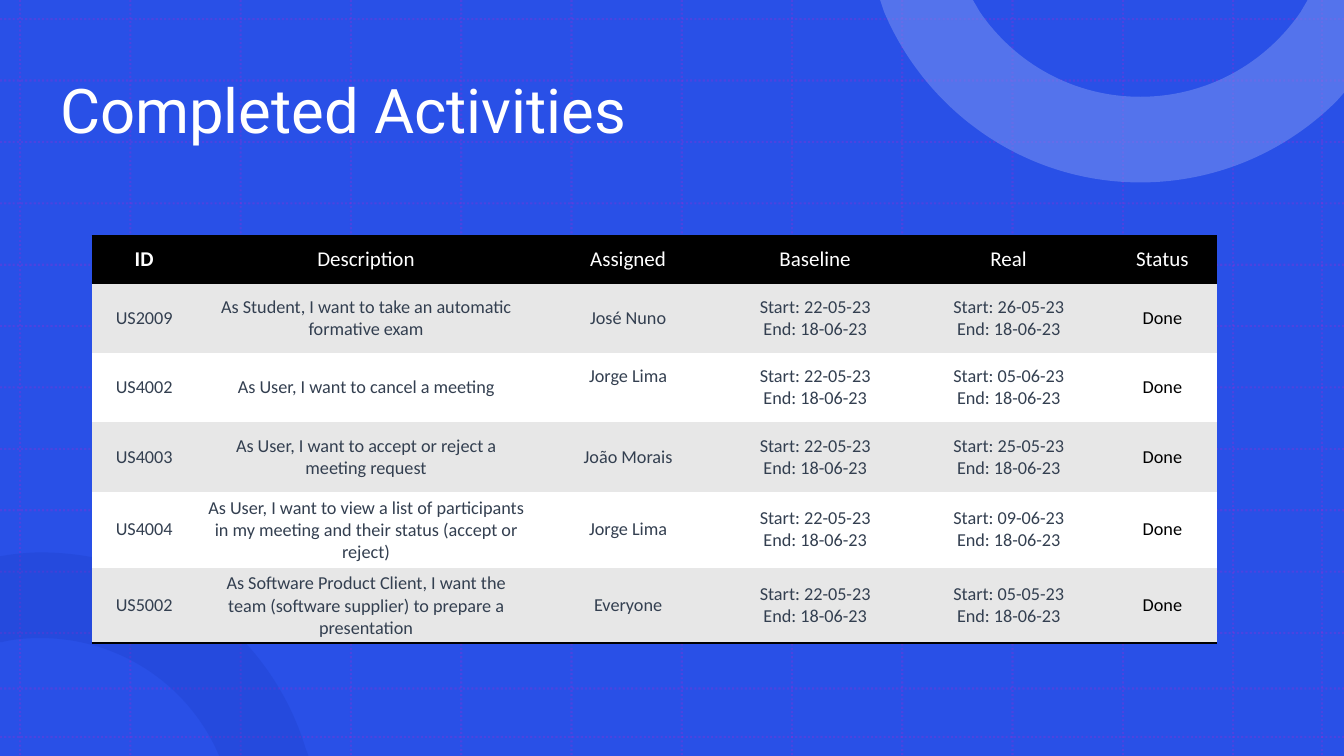
from pptx import Presentation
from pptx.dml.color import RGBColor
from pptx.enum.dml import MSO_LINE
from pptx.enum.shapes import MSO_CONNECTOR, MSO_SHAPE
from pptx.enum.text import MSO_ANCHOR, PP_ALIGN
from pptx.oxml import parse_xml
from pptx.oxml.ns import nsdecls, qn
from pptx.util import Inches, Pt

WIDTH, HEIGHT = 13.33, 7.5
BLACK, WHITE, GREY, SLATE = "000000", "FFFFFF", "E7E7E7", "333F50"
PLAIN_STYLE = "{2D5ABB26-0587-4C30-8999-92F81FD0307C}"

# Ring outlines: a start point, then lines (one point) and curves (three points)
LOWER_RING = [
    [(0.4, 5.48)], [(1.64, 5.48), (2.69, 6.3), (3.03, 7.42)], [(3.06, 7.5)],
    [(2.17, 7.5)], [(2.17, 7.49)], [(1.88, 6.81), (1.2, 6.33), (0.4, 6.33)],
    [(0.27, 6.33), (0.14, 6.34), (0.02, 6.37)], [(-0.01, 6.37)], [(-0.01, 5.52)],
    [(0.12, 5.5)], [(0.21, 5.49), (0.31, 5.48), (0.4, 5.48)],
]
UPPER_RING = [
    [(8.73, 0)], [(9.65, 0)], [(9.72, 0.12)],
    [(10.07, 0.63), (10.65, 0.96), (11.31, 0.96)],
    [(11.97, 0.96), (12.55, 0.63), (12.9, 0.12)], [(12.97, 0)], [(13.33, 0)],
    [(13.33, 0.92)], [(13.26, 1)], [(12.76, 1.5), (12.07, 1.81), (11.31, 1.81)],
    [(10.17, 1.81), (9.19, 1.11), (8.77, 0.12)],
]

COL_WIDTHS = [1.04, 3.36, 1.84, 1.87, 1.97, 1.08]
ROW_HEIGHTS = [0.47] + [0.69] * 5
HEADERS = ["ID", "Description", "Assigned", "Baseline", "Real", "Status"]
# ID, description, assigned, real start
ACTIVITIES = [
    ("US2009", "As Student, I want to take an automatic formative exam",
     "José Nuno", "26-05-23"),
    ("US4002", "As User, I want to cancel a meeting", "Jorge Lima", "05-06-23"),
    ("US4003", "As User, I want to accept or reject a meeting request",
     "João Morais", "25-05-23"),
    ("US4004", "As User, I want to view a list of participants in my meeting "
     "and their status (accept or reject)", "Jorge Lima", "09-06-23"),
    ("US5002", "As Software Product Client, I want the team (software supplier) "
     "to prepare a presentation", "Everyone", "05-05-23"),
]


def rgb(value):
    return RGBColor.from_string(value)


def set_alpha(parent, percent):
    """Make the solid colour inside the given XML element transparent."""
    color = parent.find(".//" + qn("a:srgbClr"))
    color.append(parse_xml(f'<a:alpha {nsdecls("a")} val="{percent * 1000}"/>'))


def style_runs(p, font, size, color, bold=False):
    for r in p.runs:
        r.font.name, r.font.size, r.font.bold = font, Pt(size), bold
        r.font.color.rgb = rgb(color)


def add_grid_line(s, x1, y1, x2, y2):
    line = s.shapes.add_connector(MSO_CONNECTOR.STRAIGHT, Inches(x1), Inches(y1),
                                  Inches(x2), Inches(y2))
    line.line.color.rgb = rgb("D517CC")
    line.line.width = Pt(1.5)
    line.line.dash_style = MSO_LINE.ROUND_DOT
    sp_pr = line._element.spPr
    set_alpha(sp_pr, 20)
    sp_pr.append(parse_xml(f'<a:effectLst {nsdecls("a")}/>'))


def add_ring(s, x, y, outline, color, alpha):
    points = [(Inches(x + px), Inches(y + py)) for seg in outline for px, py in seg]
    builder = s.shapes.build_freeform(*points[0])
    builder.add_line_segments(points[1:], close=True)
    ring = builder.convert_to_shape()
    # Join each three-point segment into one curve
    steps = iter(ring._element.findall(".//" + qn("a:lnTo")))
    for segment in outline[1:]:
        parts = [next(steps) for _ in segment]
        if len(parts) == 3:
            curve = parse_xml(f'<a:cubicBezTo {nsdecls("a")}/>')
            parts[0].addprevious(curve)
            for part in parts:
                curve.append(part[0])
                part.getparent().remove(part)
    ring.shadow.inherit = False
    ring.fill.solid()
    ring.fill.fore_color.rgb = rgb(color)
    set_alpha(ring._element.spPr, alpha)
    ring.line.fill.background()


def add_background(s, x, y, w, h):
    panel = s.shapes.add_shape(MSO_SHAPE.RECTANGLE, Inches(x), Inches(y),
                               Inches(w), Inches(h))
    panel.shadow.inherit = False
    panel.fill.solid()
    panel.fill.fore_color.rgb = rgb("2950E7")
    panel.line.fill.background()
    # Dotted grid
    col_step, row_step = (12.23 - 0.2) / 11, (6.28 - 0.19) / 10
    for gx in [13.11] + [0.2 + i * col_step for i in range(12)]:
        add_grid_line(s, x + gx, y, x + gx, y + h)
    for gy in [0.19 + i * row_step for i in range(11)] + [6.83, 7.31]:
        add_grid_line(s, x, y + gy, x + w, y + gy)
    # Corner rings
    add_ring(s, x, y, LOWER_RING, "1536B7", 20)
    add_ring(s, x, y, UPPER_RING, "7F96F1", 50)


def add_title(s, x, y, w, h):
    tf = s.shapes.add_textbox(Inches(x), Inches(y), Inches(w), Inches(h)).text_frame
    tf.word_wrap = True
    tf.vertical_anchor = MSO_ANCHOR.MIDDLE
    p = tf.paragraphs[0]
    p.text = "Completed Activities"
    p.line_spacing = 0.9
    style_runs(p, "Roboto", 44, WHITE)


def add_borders(cell, sides):
    tc_pr = cell._tc.get_or_add_tcPr()
    for i, side in enumerate(sides):
        tc_pr.insert(i, parse_xml(
            f'<a:ln{side} {nsdecls("a")} w="{Pt(2)}"><a:solidFill>'
            f'<a:srgbClr val="{BLACK}"/></a:solidFill></a:ln{side}>'))


def fill_cell(cell, text, fill, size, color, bold=False):
    cell.fill.solid()
    cell.fill.fore_color.rgb = rgb(fill)
    cell.vertical_anchor = MSO_ANCHOR.MIDDLE
    cell.margin_left = cell.margin_right = Inches(0.09)
    cell.margin_top = cell.margin_bottom = Inches(0.05)
    cell.text_frame.text = text
    for p in cell.text_frame.paragraphs:
        p.alignment = PP_ALIGN.CENTER
        style_runs(p, "Calibri", size, color, bold)


def add_activities(s, x, y, w, h):
    table = s.shapes.add_table(len(ROW_HEIGHTS), len(COL_WIDTHS), Inches(x),
                               Inches(y), Inches(w), Inches(h)).table
    table._tbl.tblPr.find(qn("a:tableStyleId")).text = PLAIN_STYLE
    table.horz_banding = False
    for column, width in zip(table.columns, COL_WIDTHS):
        column.width = Inches(width)
    for row, height in zip(table.rows, ROW_HEIGHTS):
        row.height = Inches(height)
    # Header row
    for c, header in enumerate(HEADERS):
        fill_cell(table.cell(0, c), header, BLACK, 15, WHITE, bold=c == 0)
        add_borders(table.cell(0, c), "TB")
    # Activity rows
    for r, (code, description, person, start) in enumerate(ACTIVITIES, 1):
        baseline, real = (f"Start: {day}\nEnd: 18-06-23" for day in ("22-05-23", start))
        texts = [code, description, person, baseline, real, "Done"]
        for c, text in enumerate(texts):
            fill_cell(table.cell(r, c), text, GREY if r % 2 else WHITE, 13,
                      BLACK if text == "Done" else SLATE)
            if r == len(ACTIVITIES):
                add_borders(table.cell(r, c), "B")
    # The name in the second activity sits one half line higher
    table.cell(2, 2).margin_bottom = Inches(0.27)


prs = Presentation()
prs.slide_width, prs.slide_height = Inches(WIDTH), Inches(HEIGHT)
s = prs.slides.add_slide(prs.slide_layouts[6])
add_background(s, 0, 0, WIDTH, HEIGHT)
add_title(s, 0.5, 0.4, 11.73, 1.45)
add_activities(s, 0.91, 2.34, sum(COL_WIDTHS), sum(ROW_HEIGHTS))
prs.save("out.pptx")
